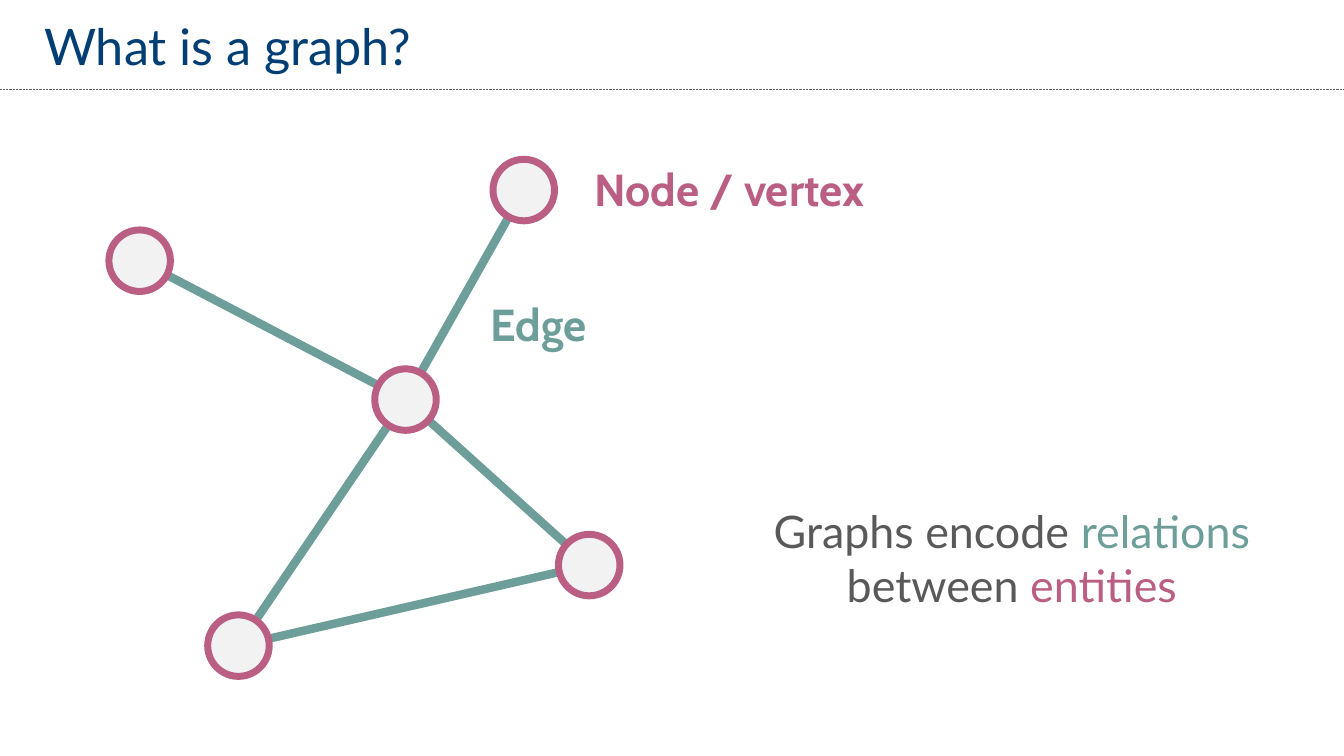
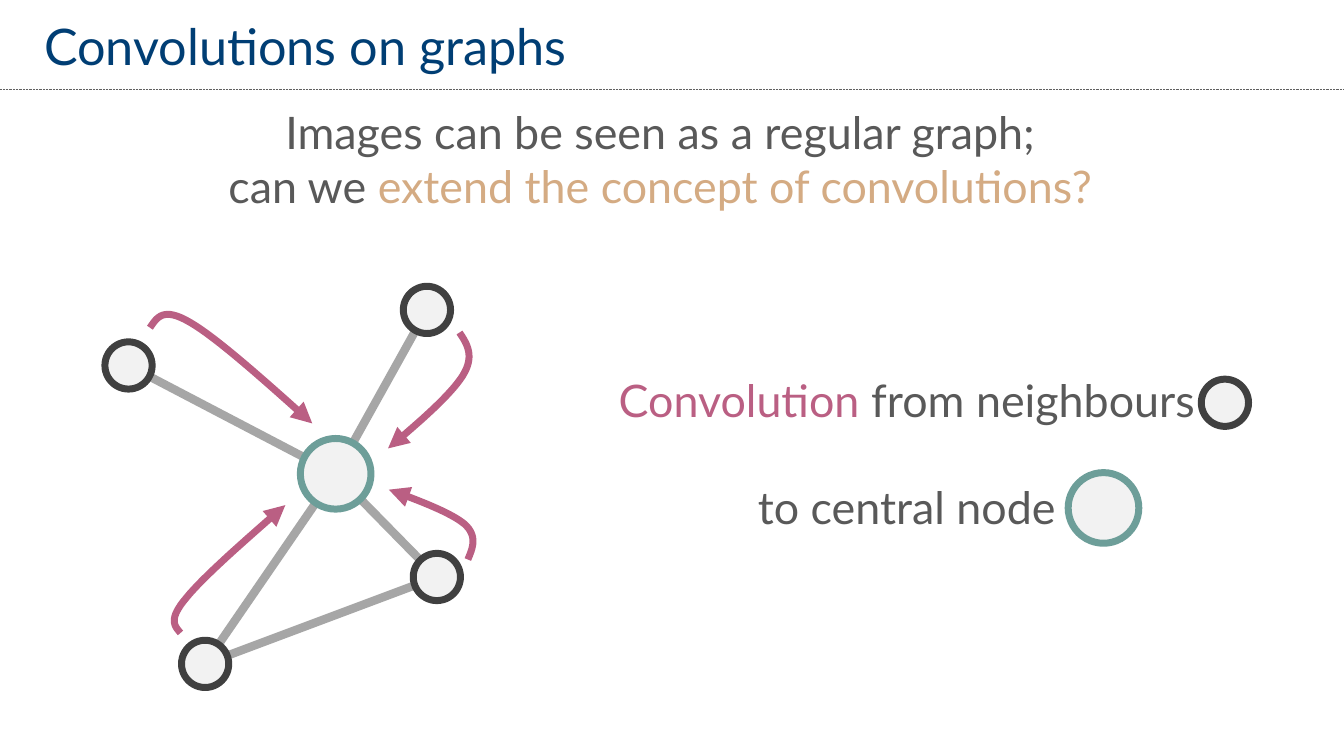
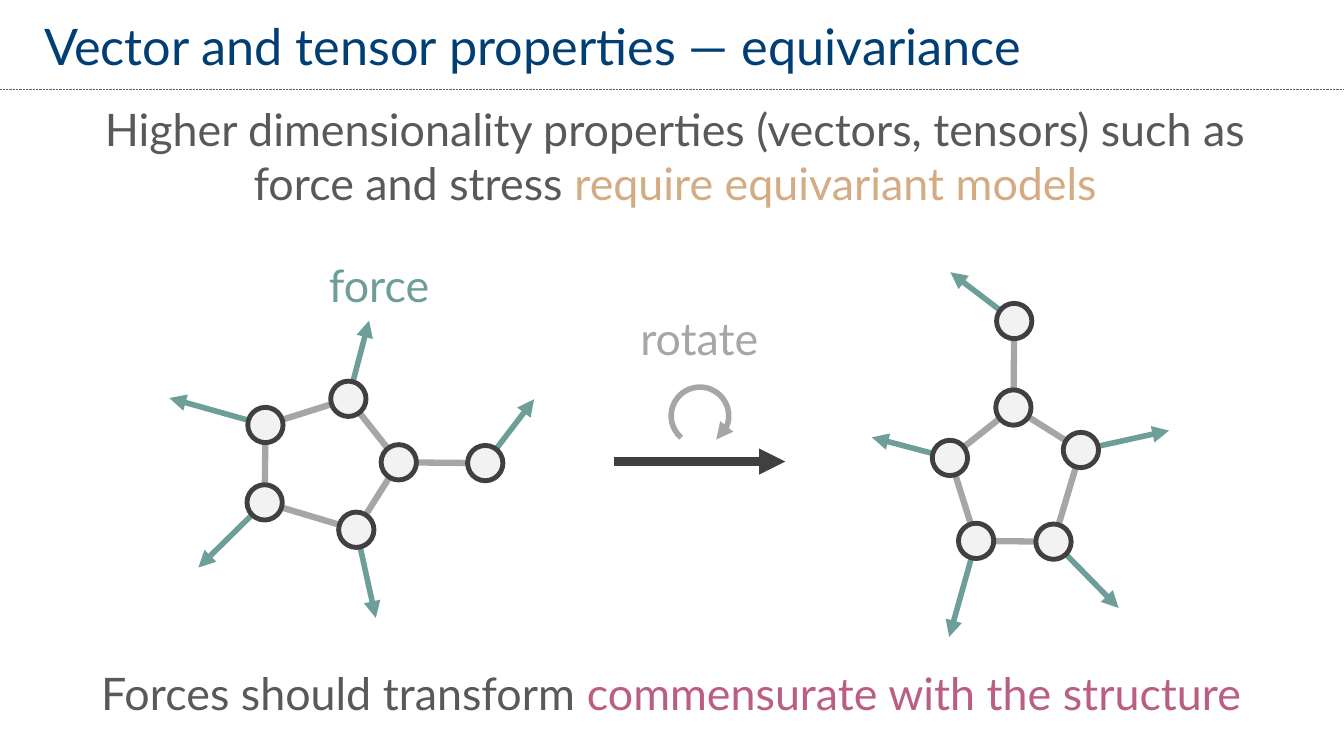
from pptx import Presentation
from pptx.dml.color import RGBColor
from pptx.enum.dml import MSO_LINE
from pptx.enum.shapes import MSO_CONNECTOR, MSO_SHAPE as Preset
from pptx.enum.text import MSO_ANCHOR as Anchor, PP_ALIGN as Align
from pptx.oxml.ns import qn
from pptx.util import Cm, Pt
from lxml.etree import SubElement

WIDTH, HEIGHT = 33.87, 19.05
NAVY, TEAL, ROSE, SAND = "003E74", "6D9E99", "BA5F83", "D4AB83"
TEXT, DARK, GREY, PALE, RULE = "595959", "404040", "A6A6A6", "F2F2F2", "606060"
WHITE = "FFFFFF"

# All positions are in centimetres; nodes are given by their centres.
GRAPH_EDGES = [(0, 2), (1, 2), (4, 2), (2, 3), (4, 3)]
CENTRAL = 2

BASIC_NODES = [(3.52, 6.57), (13.2, 4.79), (10.22, 10.07), (6.01, 16.27), (14.85, 14.24)]
BASIC_DIAMETER = 1.55
RELATIONS = [[("Graphs encode ", TEXT), ("relations", TEAL),
              (" between ", TEXT), ("entities", ROSE)]]

CONVOLUTION_NODES = [(3.24, 9.21), (10.76, 7.81), (8.46, 11.94), (5.17, 16.73), (11.01, 14.54)]
NEIGHBOUR_DIAMETER, CENTRAL_DIAMETER = 1.19, 1.78
QUESTION = [[("Images can be seen as a regular graph;", TEXT)],
            [("can we ", TEXT), ("extend the concept of convolutions?", SAND)]]
LEGEND = [[("Convolution", ROSE), (" from neighbours", TEXT)],
          [("to central node", TEXT)]]
# Each message is a start point followed by two cubic curves of three points.
MESSAGES = [
    [(4.55, 15.95), (4.39, 15.77), (4.24, 15.6), (4.7, 15.06),
     (5.13, 14.53), (6.15, 13.64), (7.19, 12.73)],
    [(3.78, 8.26), (3.96, 8), (4.11, 7.72), (4.8, 8.13),
     (5.46, 8.51), (6.68, 9.6), (7.87, 10.67)],
    [(11.58, 8.38), (11.79, 8.69), (11.96, 8.99), (11.66, 9.47),
     (11.35, 9.96), (10.57, 10.64), (9.78, 11.3)],
    [(11.79, 14.1), (11.91, 13.82), (12.04, 13.51), (11.71, 13.21),
     (11.38, 12.93), (10.59, 12.62), (9.8, 12.34)],
]

EQUIVARIANCE = [[("Higher dimensionality properties (vectors, tensors) such as force and stress ", TEXT),
                 ("require equivariant models", SAND)]]
CONCLUSION = [[("Forces should transform ", TEXT), ("commensurate with the structure", ROSE)]]
ATOMS = [(6.69, 10.71), (6.67, 12.66), (8.78, 10.05), (8.98, 13.35), (10.05, 11.65), (12.23, 11.67)]
BONDS = [(0, 1), (2, 0), (3, 1), (4, 3), (2, 4), (4, 5)]
FORCE_TIPS = {5: (13.46, 10.06), 2: (9.3, 8.08), 0: (4.27, 10.03), 1: (5, 14.3), 3: (9.47, 15.57)}
PIVOT_ATOM = 4
ROTATED_PIVOT = (25.54, 10.27)
ATOM_DIAMETER = 0.89


def rgb(colour):
    return RGBColor.from_string(colour)


def style_line(shape, colour, weight, arrow=False):
    shape.line.color.rgb = rgb(colour)
    shape.line.width = Pt(weight)
    if arrow:
        SubElement(shape.element.spPr.find(qn("a:ln")), qn("a:tailEnd"), type="triangle")


def add_line(shapes, start, end, colour, weight, arrow=False):
    ends = [Cm(value) for value in (*start, *end)]
    line = shapes.add_connector(MSO_CONNECTOR.STRAIGHT, *ends)
    style_line(line, colour, weight, arrow)
    SubElement(line.element.spPr, qn("a:effectLst"))
    return line


def add_preset(shapes, preset, centre, diameter, fill, colour, weight, arrow=False):
    left, top = (Cm(value - diameter / 2) for value in centre)
    shape = shapes.add_shape(preset, left, top, Cm(diameter), Cm(diameter))
    shape.shadow.inherit = False
    shape.fill.solid()
    shape.fill.fore_color.rgb = rgb(fill)
    style_line(shape, colour, weight, arrow)
    return shape


def add_node(shapes, centre, diameter, colour, weight=5):
    add_preset(shapes, Preset.OVAL, centre, diameter, PALE, colour, weight)


def add_edges(shapes, nodes, edges, colour, weight):
    for first, second in edges:
        add_line(shapes, nodes[first], nodes[second], colour, weight)


def add_text(slide, place, paragraphs, size=32, font="Lato", bold=False,
             align=Align.CENTER, anchor=Anchor.TOP, gap=0, wrap=True):
    """Write paragraphs, each a list of (text, colour) runs; gap is the points between them."""
    box = slide.shapes.add_textbox(*(Cm(value) for value in place))
    frame = box.text_frame
    frame.word_wrap = wrap
    frame.vertical_anchor = anchor
    for index, runs in enumerate(paragraphs):
        para = frame.add_paragraph() if index else frame.paragraphs[0]
        para.alignment = align
        if index and gap:
            para.space_before = Pt(gap)
        para.font.name, para.font.size, para.font.bold = font, Pt(size), bold
        for text, colour in runs:
            span = para.add_run()
            span.text = text
            span.font.color.rgb = rgb(colour)


def add_label(slide, place, text, colour):
    add_text(slide, place, [[(text, colour)]], font="Cabin", bold=True,
             align=Align.LEFT, wrap=False)


def curve_points(controls, steps=16):
    """Sample a chain of cubic curves, leaving out its start point."""
    points = []
    for first in range(0, len(controls) - 1, 3):
        segment = controls[first:first + 4]
        for step in range(1, steps + 1):
            t = step / steps
            weights = ((1 - t) ** 3, 3 * t * (1 - t) ** 2, 3 * t ** 2 * (1 - t), t ** 3)
            points.append(tuple(sum(w * point[axis] for w, point in zip(weights, segment))
                                for axis in (0, 1)))
    return points


def add_curved_arrow(shapes, controls):
    start, *rest = [(Cm(x), Cm(y)) for x, y in [controls[0], *curve_points(controls)]]
    builder = shapes.build_freeform(*start)
    builder.add_line_segments(rest, close=False)
    curve = builder.convert_to_shape()
    curve.shadow.inherit = False
    curve.fill.background()
    style_line(curve, ROSE, 5, arrow=True)


def add_molecule(slide, place_point):
    """Draw atoms, bonds and forces, each point moved by place_point."""
    shapes = slide.shapes.add_group_shape().shapes
    atoms = [place_point(atom) for atom in ATOMS]
    for index, tip in FORCE_TIPS.items():
        add_line(shapes, atoms[index], place_point(tip), TEAL, 4, arrow=True)
    add_edges(shapes, atoms, BONDS, GREY, 4.5)
    for atom in atoms:
        add_node(shapes, atom, ATOM_DIAMETER, DARK, 3.5)


def quarter_turn(point):
    """Turn a point a quarter anticlockwise about the pivot atom and move it right."""
    pivot_x, pivot_y = ATOMS[PIVOT_ATOM]
    return ROTATED_PIVOT[0] + point[1] - pivot_y, ROTATED_PIVOT[1] - point[0] + pivot_x


def new_slide(deck, title):
    slide = deck.slides.add_slide(deck.slide_layouts[6])
    rule = add_line(slide.shapes, (0, 2.24), (WIDTH, 2.24), RULE, 0.5)
    rule.line.dash_style = MSO_LINE.ROUND_DOT
    add_text(slide, (0.86, 0.53, 32.31, 1.24), [[(title, NAVY)]], size=36,
             align=Align.LEFT, anchor=Anchor.MIDDLE)
    return slide


def build_graph_slide(deck):
    slide = new_slide(deck, "What is a graph?")
    add_edges(slide.shapes, BASIC_NODES, GRAPH_EDGES, TEAL, 6)
    for node in BASIC_NODES:
        add_node(slide.shapes, node, BASIC_DIAMETER, ROSE)
    add_label(slide, (14.73, 3.94, 7.34, 1.63), "Node / vertex", ROSE)
    add_label(slide, (12.12, 7.34, 3.02, 1.63), "Edge", TEAL)
    add_text(slide, (19, 12.57, 13, 3), RELATIONS)


def build_convolution_slide(deck):
    slide = new_slide(deck, "Convolutions on graphs")
    add_text(slide, (0.3, 3.05, 32.69, 1.88), QUESTION, anchor=Anchor.MIDDLE)
    neighbour, central = (NEIGHBOUR_DIAMETER, DARK), (CENTRAL_DIAMETER, TEAL)
    shapes = slide.shapes.add_group_shape().shapes
    add_edges(shapes, CONVOLUTION_NODES, GRAPH_EDGES, GREY, 6)
    for index, node in enumerate(CONVOLUTION_NODES):
        add_node(shapes, node, *(central if index == CENTRAL else neighbour))
    for message in MESSAGES:
        add_curved_arrow(slide.shapes, message)
    add_text(slide, (15.11, 9.17, 15.49, 4.5), LEGEND, anchor=Anchor.MIDDLE, gap=38)
    add_node(slide.shapes, (30.87, 10.15), *neighbour)
    add_node(slide.shapes, (27.81, 12.8), *central)


def build_equivariance_slide(deck):
    slide = new_slide(deck, "Vector and tensor properties — equivariance")
    add_text(slide, (1.55, 2.44, 30.94, 3.73), EQUIVARIANCE)
    add_molecule(slide, lambda point: point)
    add_text(slide, (7.14, 6.38, 4.83, 1.73), [[("force", TEAL)]])
    add_line(slide.shapes, (15.47, 11.63), (19.79, 11.63), DARK, 6.25, arrow=True)
    turn = add_preset(slide.shapes, Preset.ARC, (17.64, 10.48), 1.45, WHITE, GREY, 4, arrow=True)
    turn.adjustments[0], turn.adjustments[1] = 78.29, 33.26
    add_text(slide, (15.21, 7.7, 4.83, 1.73), [[("rotate", GREY)]])
    add_molecule(slide, quarter_turn)
    add_text(slide, (1.45, 16.64, 30.94, 1.96), CONCLUSION)


def main():
    deck = Presentation()
    deck.slide_width, deck.slide_height = Cm(WIDTH), Cm(HEIGHT)
    build_graph_slide(deck)
    build_convolution_slide(deck)
    build_equivariance_slide(deck)
    deck.save("out.pptx")


if __name__ == "__main__":
    main()
